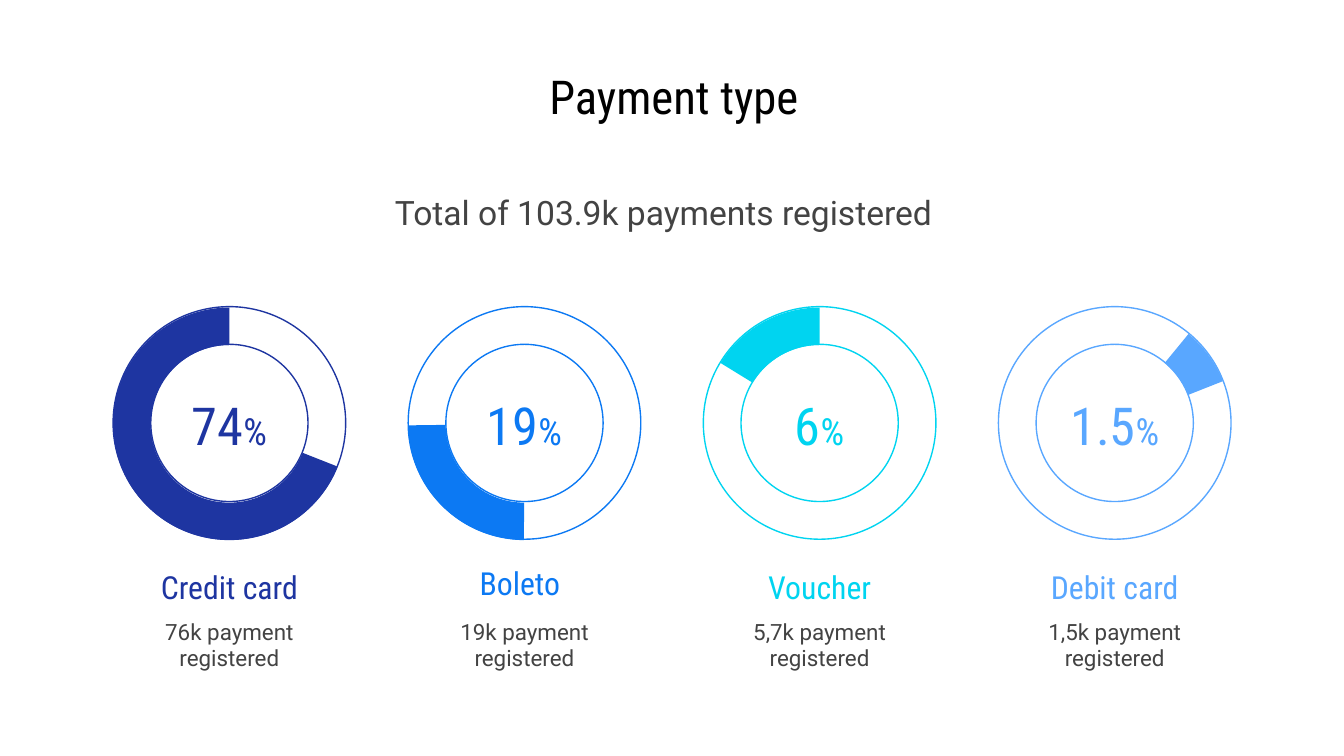
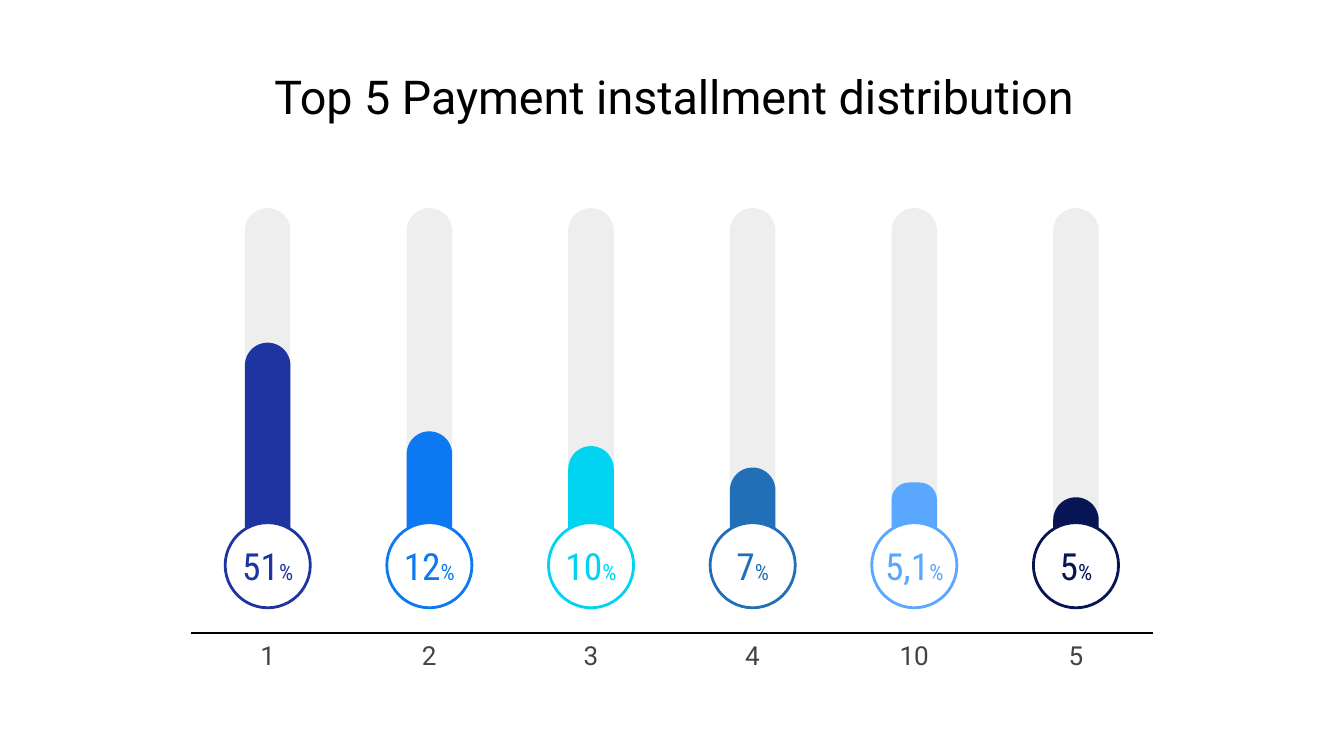
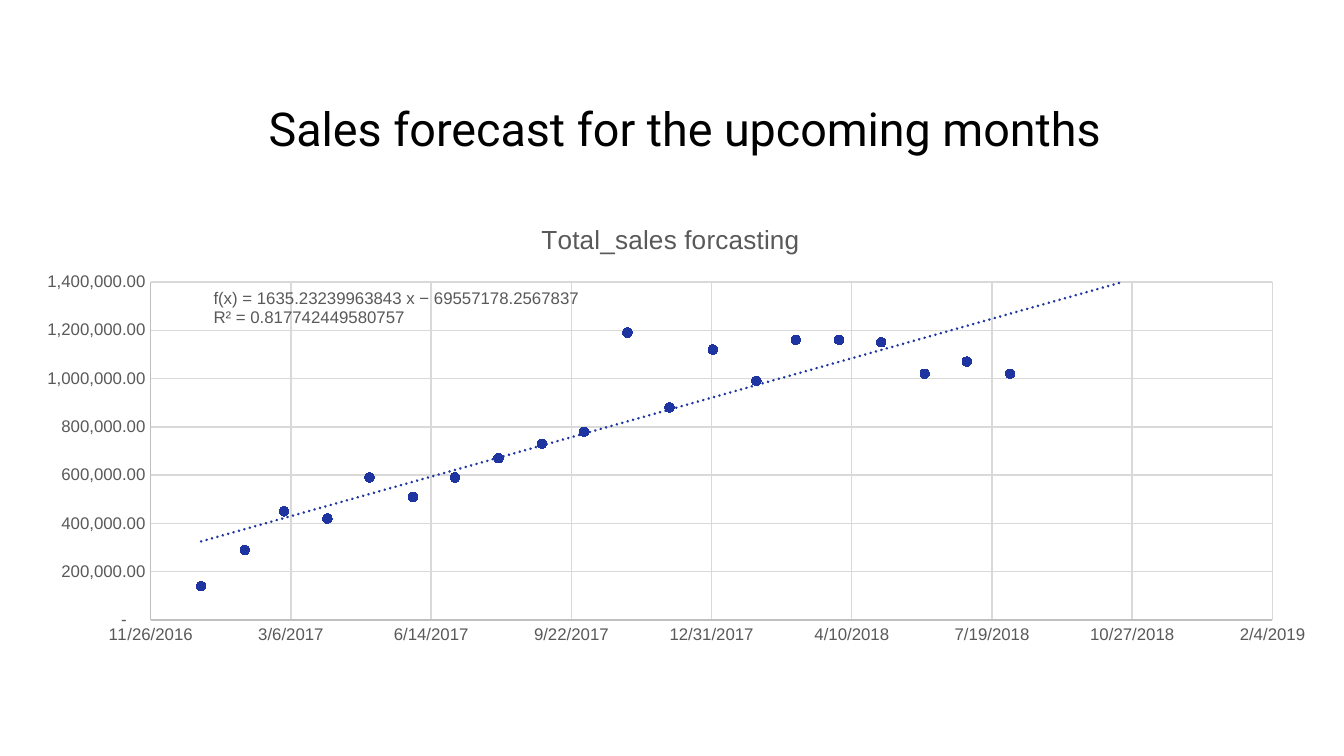
import collections
import dataclasses
import itertools

import lxml.etree
import pptx
import pptx.chart.data
import pptx.dml.color
import pptx.enum.chart
import pptx.enum.shapes
import pptx.enum.text
import pptx.oxml
import pptx.oxml.ns
import pptx.util

Pt = pptx.util.Pt
SHAPE = pptx.enum.shapes.MSO_SHAPE
ALIGN = pptx.enum.text.PP_ALIGN
qn = pptx.oxml.ns.qn

Box = collections.namedtuple("Box", "left top width height")
Payment = collections.namedtuple("Payment", "name share count color start end shift")
Installment = collections.namedtuple("Installment", "label share color height corner")


@dataclasses.dataclass(frozen=True)
class Theme:
    body: str = "Roboto"
    condensed: str = "Roboto Condensed"
    chart: str = "Arial"
    black: str = "000000"
    white: str = "FFFFFF"
    gray: str = "434343"
    track: str = "EEEEEE"
    navy: str = "1E35A1"
    blue: str = "0C79F3"
    cyan: str = "00D4F0"
    steel: str = "2170B7"
    sky: str = "59A7FF"
    midnight: str = "071554"
    chart_text: str = "595959"
    axis: str = "BFBFBF"
    grid: str = "D9D9D9"
    title_size: float = 25
    subtitle_size: float = 18
    name_size: float = 17
    note_size: float = 12
    label_size: float = 14
    ring_size: float = 28
    ring_unit_size: float = 20
    badge_size: float = 20
    badge_unit_size: float = 12
    chart_title_size: float = 14
    chart_size: float = 9


THEME = Theme()
TITLE_BOX = Box(38, 32.5, 646, 38)

PAYMENTS = [
    Payment("Credit card", "74", "76k", THEME.navy, 21.56, 270, (0, 0)),
    Payment("Boleto", "19", "19k", THEME.blue, 90.26, 179.24, (-2.5, -2)),
    Payment("Voucher", "6", "5,7k", THEME.cyan, 211.56, 270, (0, 0)),
    Payment("Debit card", "1.5", "1,5k", THEME.sky, 309.39, 338.47, (0, 0)),
]

INSTALLMENTS = [
    Installment("1", "51", THEME.navy, 126.7, 0.5),
    Installment("2", "12", THEME.blue, 79.2, 0.5),
    Installment("3", "10", THEME.cyan, 71.3, 0.5),
    Installment("4", "7", THEME.steel, 59.8, 0.5),
    Installment("10", "5,1", THEME.sky, 51.8, 0.38),
    Installment("5", "5", THEME.midnight, 43.9, 0.5),
]

JANUARY_2017 = 42736
FORECAST_DAYS = 122
MONTH_LENGTHS = [31, 28, 31, 30, 31, 30, 31, 31, 30, 31, 30, 31]
SALES = [
    140000, 290000, 450000, 420000, 590000, 510000, 590000, 670000,
    730000, 780000, 1190000, 880000, 1120000, 990000, 1160000, 1160000,
    1150000, 1020000, 1070000, 1020000, None, None, None, None,
]
TREND_FORMULA = ["f(x) = 1635.23239963843 x − 69557178.2567837", "R² = 0.817742449580757"]

PLOT_LAYOUT = """
<c:layout xmlns:c="http://schemas.openxmlformats.org/drawingml/2006/chart">
  <c:manualLayout>
    <c:layoutTarget val="inner"/><c:xMode val="edge"/><c:yMode val="edge"/>
    <c:x val="0.106"/><c:y val="0.178"/><c:w val="0.85"/><c:h val="0.749"/>
  </c:manualLayout>
</c:layout>"""

TRENDLINE = f"""
<c:trendline xmlns:c="http://schemas.openxmlformats.org/drawingml/2006/chart"
    xmlns:a="http://schemas.openxmlformats.org/drawingml/2006/main">
  <c:spPr><a:ln w="{Pt(1.5)}" cap="rnd">
    <a:solidFill><a:srgbClr val="{THEME.navy}"/></a:solidFill>
    <a:prstDash val="sysDot"/>
  </a:ln></c:spPr>
  <c:trendlineType val="linear"/>
  <c:forward val="{FORECAST_DAYS}"/>
  <c:dispRSqr val="0"/><c:dispEq val="0"/>
</c:trendline>"""


def rgb(color):
    return pptx.dml.color.RGBColor.from_string(color)


def points(values):
    return [Pt(value) for value in values]


def style_font(font, name, size, color):
    font.name = name
    font.size = Pt(size)
    font.bold = False
    font.color.rgb = rgb(color)


def write(frame, text, *, font=THEME.body, size, color=THEME.gray, align=ALIGN.CENTER,
          side_inset=7.2, unit="", unit_size=None):
    frame.word_wrap = True
    frame.auto_size = pptx.enum.text.MSO_AUTO_SIZE.NONE
    frame.vertical_anchor = pptx.enum.text.MSO_ANCHOR.MIDDLE
    frame.margin_left = frame.margin_right = Pt(side_inset)
    frame.margin_top = frame.margin_bottom = Pt(7.2)
    paragraph = frame.paragraphs[0]
    paragraph.alignment = align
    for content, content_size in ((text, size), (unit, unit_size)):
        if content:
            run = paragraph.add_run()
            run.text = content
            style_font(run.font, font, content_size, color)


def add_label(shapes, box, text, **text_format):
    write(shapes.add_textbox(*points(box)).text_frame, text, **text_format)


def add_figure(shapes, preset, box, *, fill=None, line=None, weight=0.75, adjustments=()):
    figure = shapes.add_shape(preset, *points(box))
    figure.shadow.inherit = False
    if fill:
        figure.fill.solid()
        figure.fill.fore_color.rgb = rgb(fill)
    else:
        figure.fill.background()
    if line:
        figure.line.color.rgb = rgb(line)
        figure.line.width = Pt(weight)
    else:
        figure.line.fill.background()
    for index, value in enumerate(adjustments):
        figure.adjustments[index] = value
    return figure


def add_titled_slide(deck, text, box=TITLE_BOX, font=THEME.body):
    slide = deck.slides.add_slide(deck.slide_layouts[5])
    title = slide.shapes.title
    title.left, title.top, title.width, title.height = points(box)
    write(title.text_frame, text, font=font, size=THEME.title_size, color=THEME.black)
    return slide


def add_payment_ring(slide, box, payment):
    shapes = slide.shapes.add_group_shape().shapes
    diameter = 124.6
    center = box.left + box.width / 2
    ring = Box(center - diameter / 2, box.top, diameter, diameter)
    add_figure(shapes, SHAPE.DONUT, ring, line=payment.color, adjustments=[0.162])
    add_figure(shapes, SHAPE.BLOCK_ARC, ring._replace(top=box.top + 0.5), fill=payment.color,
               adjustments=[payment.start * 0.6, payment.end * 0.6, 0.161])
    add_label(shapes, Box(center - 32, box.top + 49, 64, 28), payment.share,
              font=THEME.condensed, size=THEME.ring_size, color=payment.color,
              unit="%", unit_size=THEME.ring_unit_size)
    shift_x, shift_y = payment.shift
    add_label(shapes, Box(box.left + shift_x, box.top + 136 + shift_y, box.width, 28),
              payment.name, font=THEME.condensed, size=THEME.name_size, color=payment.color)
    add_label(shapes, Box(box.left, box.top + 162, box.width, 38),
              f"{payment.count} payment registered", size=THEME.note_size)


def build_payment_types(deck):
    slide = add_titled_slide(deck, "Payment type", font=THEME.condensed)
    add_label(slide.shapes, Box(190, 94.5, 335.5, 38), "Total of 103.9k payments registered ",
              size=THEME.subtitle_size)
    for column, payment in enumerate(PAYMENTS):
        add_payment_ring(slide, Box(55.9 + column * 158.1, 164.3, 134, 200), payment)


def add_installment_bar(slide, box, installment):
    shapes = slide.shapes.add_group_shape().shapes
    center = box.left + box.width / 2
    bar_width, bar_height, badge = 24.4, 198.8, 45.6
    track = Box(center - bar_width / 2, box.top, bar_width, bar_height)
    level = track._replace(top=box.top + bar_height - installment.height,
                           height=installment.height)
    add_figure(shapes, SHAPE.ROUNDED_RECTANGLE, track, fill=THEME.track, adjustments=[0.5])
    add_figure(shapes, SHAPE.ROUNDED_RECTANGLE, level, fill=installment.color,
               adjustments=[installment.corner])
    share = add_figure(shapes, SHAPE.OVAL,
                       Box(center - badge / 2, box.top + 168.5, badge, badge),
                       fill=THEME.white, line=installment.color, weight=1.5)
    write(share.text_frame, installment.share, font=THEME.condensed, size=THEME.badge_size,
          color=installment.color, side_inset=0, unit="%", unit_size=THEME.badge_unit_size)
    add_label(shapes, Box(box.left, box.top + 227.5, box.width, 24), installment.label,
              size=THEME.label_size)


def add_baseline(slide, left, right, height):
    baseline = slide.shapes.add_connector(
        pptx.enum.shapes.MSO_CONNECTOR.STRAIGHT, *points((left, height, right, height)))
    baseline.line.color.rgb = rgb(THEME.black)
    baseline.line.width = Pt(0.75)
    lxml.etree.SubElement(baseline._element.spPr, qn("a:effectLst"))


def build_installments(deck):
    slide = add_titled_slide(deck, "Top 5 Payment installment distribution")
    for column, installment in enumerate(INSTALLMENTS):
        add_installment_bar(slide, Box(118.6 + column * 86.6, 111.5, 49.6, 251.5), installment)
    add_baseline(slide, 102.3, 617.7, 339.2)


def format_axis(axis, low, high, step, number_format):
    axis.minimum_scale, axis.maximum_scale, axis.major_unit = low, high, step
    axis.major_tick_mark = axis.minor_tick_mark = pptx.enum.chart.XL_TICK_MARK.NONE
    axis.has_major_gridlines = True
    for line, color in ((axis.format.line, THEME.axis),
                        (axis.major_gridlines.format.line, THEME.grid)):
        line.color.rgb = rgb(color)
        line.width = Pt(0.75)
    axis.tick_labels.number_format = number_format
    axis.tick_labels.number_format_is_linked = False
    style_font(axis.tick_labels.font, THEME.chart, THEME.chart_size, THEME.chart_text)


def format_sales(sales):
    sales.format.line.fill.background()
    sales.marker.style = pptx.enum.chart.XL_MARKER_STYLE.CIRCLE
    sales.marker.size = 5
    sales.marker.format.fill.solid()
    sales.marker.format.fill.fore_color.rgb = rgb(THEME.navy)
    sales.marker.format.line.color.rgb = rgb(THEME.navy)
    for value in list(sales._element.iter(qn("c:v"))):
        if value.text == "None":
            month = value.getparent()
            month.getparent().remove(month)
    sales._element.find(qn("c:xVal")).addprevious(pptx.oxml.parse_xml(TRENDLINE))


def add_forecast_chart(slide, box):
    data = pptx.chart.data.XyChartData()
    series = data.add_series("Series 1")
    dates = itertools.accumulate((MONTH_LENGTHS * 2)[:-1], initial=JANUARY_2017)
    for date, amount in zip(dates, SALES):
        series.add_data_point(date, amount)
    chart = slide.shapes.add_chart(
        pptx.enum.chart.XL_CHART_TYPE.XY_SCATTER, *points(box), data).chart
    chart.has_legend = False
    style_font(chart.font, THEME.chart, 10, THEME.black)
    chart.has_title = True
    heading = chart.chart_title.text_frame.paragraphs[0].add_run()
    heading.text = "Total_sales forcasting"
    style_font(heading.font, THEME.chart, THEME.chart_title_size, THEME.chart_text)
    chart.plots[0].vary_by_categories = False
    format_axis(chart.category_axis, 42700, 43500, 100, "m/d/yyyy")
    format_axis(chart.value_axis, 0, 1400000, 200000, '#,##0.00;-#,##0.00;"-"??')
    format_sales(chart.plots[0].series[0])
    plot_area = chart._chartSpace.find(".//" + qn("c:plotArea"))
    for layout in plot_area.findall(qn("c:layout")):
        plot_area.remove(layout)
    plot_area.insert(0, pptx.oxml.parse_xml(PLOT_LAYOUT))
    for row, formula in enumerate(TREND_FORMULA):
        add_label(slide.shapes, Box(box.left + 108.6, box.top + 37.7 + row * 10.2, 210, 28),
                  formula, font=THEME.chart, size=THEME.chart_size, color=THEME.chart_text,
                  align=ALIGN.LEFT, side_inset=0)


def build_forecast(deck):
    slide = add_titled_slide(deck, "Sales forecast for the upcoming months",
                             Box(33, 47, 667.5, 42.5))
    add_forecast_chart(slide, Box(5.8, 108, 707, 242))


def main():
    deck = pptx.Presentation()
    deck.slide_width, deck.slide_height = Pt(720), Pt(405)
    build_payment_types(deck)
    build_installments(deck)
    build_forecast(deck)
    deck.save("out.pptx")


if __name__ == "__main__":
    main()
